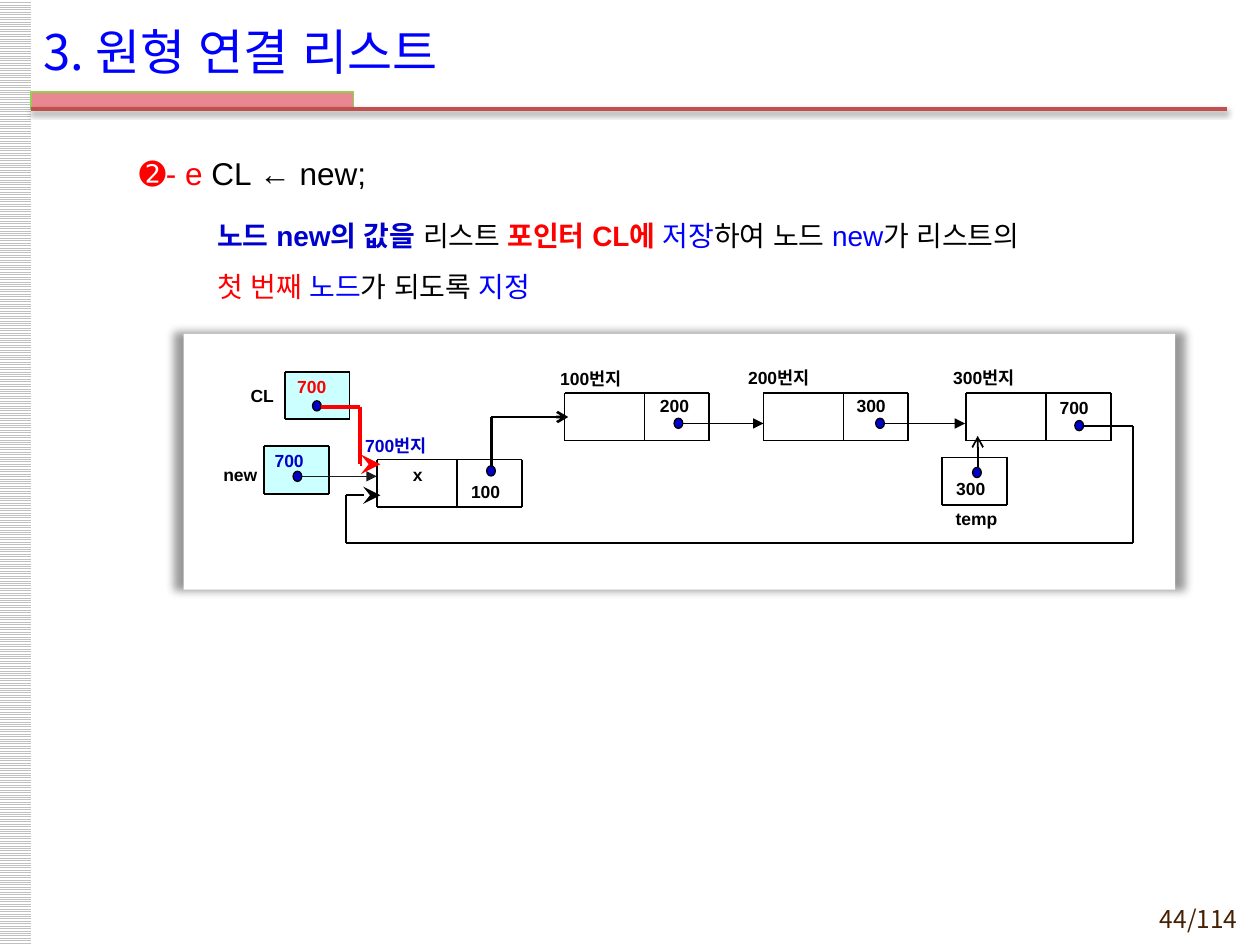
"""Build the slide on circular linked lists: pointing CL at the new first node."""
from lxml.etree import SubElement
from pptx import Presentation
from pptx.dml.color import RGBColor
from pptx.enum.dml import MSO_PATTERN
from pptx.enum.shapes import MSO_CONNECTOR, MSO_SHAPE
from pptx.enum.text import MSO_ANCHOR, MSO_AUTO_SIZE, PP_ALIGN
from pptx.oxml.ns import qn
from pptx.util import Pt

BLACK = RGBColor(0, 0, 0)
WHITE = RGBColor(0xFF, 0xFF, 0xFF)
RED = RGBColor(0xFF, 0, 0)
BLUE = RGBColor(0, 0, 0xFF)
NAVY = RGBColor(0, 0, 0xCC)
CYAN = RGBColor(0xCC, 0xFF, 0xFF)
PINK = RGBColor(0xEA, 0x88, 0x92)
GREEN = RGBColor(0x92, 0xD0, 0x50)
BRICK = RGBColor(0xC0, 0x50, 0x4D)
BROWN = RGBColor(0x45, 0x21, 0x03)
CHARCOAL = RGBColor(0x1C, 0x1C, 0x1C)
SILVER = RGBColor(0xC0, 0xC0, 0xC0)
LATIN, KOREAN = "Arial", "Noto Sans CJK KR"

TITLE = "3. 원형 연결 리스트"
STEP = [("➋- e ", RED, False), ("CL ← new;", BLACK, False)]
EXPLANATION = [
    [("노드 new의 값을 ", NAVY, True), ("리스트 ", BLACK, False),
     ("포인터 CL에 ", RED, True), ("저장", BLUE, False),
     ("하여 노드 ", BLACK, False), ("new", BLUE, False), ("가 리스트의", BLACK, False)],
    [("첫 번째 ", RED, False), ("노드", BLUE, False),
     ("가 되도록 ", BLACK, False), ("지정", BLUE, False)],
]
DATA_WIDTH, LINK_WIDTH, CELL_HEIGHT = 45.7, 36.9, 27.2
NODES = [(322.6, 224.6), (436.3, 224.6), (552.2, 224.6), (215.5, 262.6)]
POINTERS = [(162.9, 212.4, CYAN), (151, 254.9, CYAN), (538.4, 261.4, None)]
DOT_WIDTH, DOT_HEIGHT = 5, 5.8
DOTS = [(385.2, 239), (500.4, 239), (178.6, 229), (167.5, 269.3),
        (278.1, 266.2), (614.2, 240.3), (555.8, 267.1)]
ADDRESSES = [("100번지", 313, 209.5, BLACK), ("200번지", 420.4, 209.2, BLACK),
             ("300번지", 537.6, 209, BLACK), ("700번지", 201.6, 247.9, NAVY)]
VALUES = [("200", 370, 225.4, BLACK), ("300", 482.4, 225, BLACK),
          ("300", 539.3, 272.9, BLACK), ("700", 149.8, 256.6, NAVY),
          ("100", 262.1, 274.1, BLACK), ("700", 598.4, 226.1, BLACK),
          ("700", 162.7, 214.6, RED)]
NAMES = [("CL", 128.4, 214, 28), ("new", 119.5, 259.6, 27.4), ("temp", 532.8, 284.2, 37)]
ROUTES = [
    ([(390.2, 242), (436.3, 242)], BLACK, 0.75, "triangle"),
    ([(505, 242), (551.5, 242)], BLACK, 0.75, "triangle"),
    ([(172.8, 272.2), (215.3, 272.2)], CHARCOAL, 0.75, "triangle"),
    ([(280.8, 266.4), (280.8, 238.3), (324.7, 238.3)], BLACK, 1.5, "arrow"),
    ([(558.7, 267.1), (558.7, 249.1)], BLACK, 1, "arrow"),
    ([(619.2, 243.4), (647.3, 243.4), (647.3, 310.3), (197.6, 310.3),
      (197.6, 283), (217.4, 283)], BLACK, 1, "stealth"),
    ([(183.6, 232.6), (205.5, 232.6), (205.5, 265.3), (217.4, 265.3)], RED, 2.25, "stealth"),
]


def place(shape, left, top, width, height):
    shape.left, shape.top, shape.width, shape.height = map(Pt, (left, top, width, height))


def add_span(para, text, size, color, bold=False, face=LATIN):
    span = para.add_run()
    span.text = text
    font = span.font
    font.size, font.bold, font.name = Pt(size), bold, face
    font.color.rgb = color
    SubElement(span._r.get_or_add_rPr(), qn("a:ea"), typeface=LATIN)


def add_box(page, left, top, width, height, fill=None, line=None, weight=1, kind=MSO_SHAPE.RECTANGLE):
    box = page.shapes.add_shape(kind, *map(Pt, (left, top, width, height)))
    box.shadow.inherit = False
    if fill is None:
        box.fill.background()
    else:
        box.fill.solid()
        box.fill.fore_color.rgb = fill
    if line is None:
        box.line.fill.background()
    else:
        box.line.color.rgb = line
        box.line.width = Pt(weight)
    return box


def add_line(page, start, end, color, weight, head=None):
    line = page.shapes.add_connector(MSO_CONNECTOR.STRAIGHT, *map(Pt, (*start, *end)))
    line.line.color.rgb = color
    line.line.width = Pt(weight)
    if head:
        size = "lg" if head == "stealth" else "med"
        SubElement(line.line._get_or_add_ln(), qn("a:tailEnd"), type=head, w=size, len=size)
    SubElement(line._element.spPr, qn("a:effectLst"))
    return line


def add_cells(page, left, top, widths):
    edges = [left + sum(widths[:count]) for count in range(len(widths) + 1)]
    bottom = top + CELL_HEIGHT
    for level in (top, bottom):
        add_line(page, (left, level), (edges[-1], level), BLACK, 1)
    for edge in edges:
        add_line(page, (edge, top), (edge, bottom), BLACK, 1)


def add_shadow(shape, alpha, **settings):
    effects = shape._element.spPr.find(qn("a:effectLst"))
    shadow = SubElement(effects, qn("a:outerShdw"), rotWithShape="0",
                        **{key: str(value) for key, value in settings.items()})
    color = SubElement(shadow, qn("a:srgbClr"), val="000000")
    SubElement(color, qn("a:alpha"), val=str(alpha * 1000))


def add_label(page, text, left, top, width, height, color, size=10, bold=True,
              align=PP_ALIGN.LEFT, margins=(7.2, 3.6, 7.2, 3.6), face=LATIN):
    frame = page.shapes.add_textbox(*map(Pt, (left, top, width, height))).text_frame
    frame.word_wrap = True
    frame.vertical_anchor = MSO_ANCHOR.MIDDLE
    (frame.margin_left, frame.margin_top,
     frame.margin_right, frame.margin_bottom) = map(Pt, margins)
    para = frame.paragraphs[0]
    para.alignment = align
    add_span(para, text, size, color, bold, face)


def format_item(para, indent, spacing, before):
    properties = para._p.get_or_add_pPr()
    properties.set("marL", str(Pt(indent)))
    properties.set("indent", "0")
    SubElement(properties, qn("a:buNone"))
    para.line_spacing = Pt(spacing)
    para.space_before, para.space_after = Pt(before), Pt(3)


def add_frame(page):
    strip = add_box(page, -0.7, 0, 18.7, 540)
    strip.fill.patterned()
    strip.fill.pattern = MSO_PATTERN.LIGHT_HORIZONTAL
    strip.fill.fore_color.rgb = SILVER
    strip.fill.back_color.rgb = WHITE
    add_box(page, 17.8, 52.5, 184.3, 10, PINK, GREEN, 0.75)
    rule = add_line(page, (17.8, 62.4), (701.3, 62.4), BRICK, 2)
    add_shadow(rule, 38, blurRad=Pt(3.1), dist=Pt(1.6), dir=5400000)
    add_label(page, "44/114", 638, 514.3, 76.3, 20.9, BROWN, 14, False,
              PP_ALIGN.RIGHT, face=KOREAN)


def add_text(page):
    title, body = page.placeholders[0], page.placeholders[1]
    place(title, 17.8, 6.5, 595.4, 45.4)
    title.text_frame.auto_size = MSO_AUTO_SIZE.NONE
    title.text_frame.vertical_anchor = MSO_ANCHOR.MIDDLE
    heading = title.text_frame.paragraphs[0]
    heading.alignment = PP_ALIGN.LEFT
    add_span(heading, TITLE, 28, BLUE, face=KOREAN)

    place(body, 18, 73.4, 684, 450)
    frame = body.text_frame
    frame.auto_size = MSO_AUTO_SIZE.NONE
    step, detail = frame.paragraphs[0], frame.add_paragraph()
    format_item(step, 54.5, 32.4, 0)
    for text, color, bold in STEP:
        add_span(step, text, 18, color, bold)
    format_item(detail, 99, 29, 2.6)
    for number, row in enumerate(EXPLANATION):
        if number:
            detail.add_line_break()
        for text, color, bold in row:
            add_span(detail, text, 16, color, bold)


def add_diagram(page):
    panel = add_box(page, 105, 190.8, 566.6, 146.2, WHITE)
    add_shadow(panel, 40, blurRad=Pt(5), dist=0, sx=102000, sy=101000, algn="ctr")
    for left, top in NODES:
        add_cells(page, left, top, [DATA_WIDTH, LINK_WIDTH])
    for left, top, fill in POINTERS:
        if fill:
            add_box(page, left, top, LINK_WIDTH, CELL_HEIGHT, fill)
        add_cells(page, left, top, [LINK_WIDTH])
    for left, top in DOTS:
        add_box(page, left, top, DOT_WIDTH, DOT_HEIGHT, NAVY, BLACK, 0.75, MSO_SHAPE.OVAL)
    for text, left, top, color in ADDRESSES:
        add_label(page, text, left, top, 59, 13, color)
    for text, left, top, color in VALUES:
        add_label(page, text, left, top, 38, 13, color)
    for text, left, top, width in NAMES:
        add_label(page, text, left, top, width, CELL_HEIGHT, BLACK,
                  align=PP_ALIGN.RIGHT, margins=(0, 0, 0, 3.6))
    add_label(page, "x", 216, 262.8, 45.4, 16.6, BLACK, align=PP_ALIGN.CENTER)
    for points, color, weight, head in ROUTES:
        for start, end in zip(points, points[1:]):
            add_line(page, start, end, color, weight, head if end == points[-1] else None)


def main():
    deck = Presentation()
    deck.slide_width, deck.slide_height = Pt(720), Pt(540)
    page = deck.slides.add_slide(deck.slide_layouts[1])
    add_frame(page)
    add_text(page)
    add_diagram(page)
    deck.save("out.pptx")


if __name__ == "__main__":
    main()
